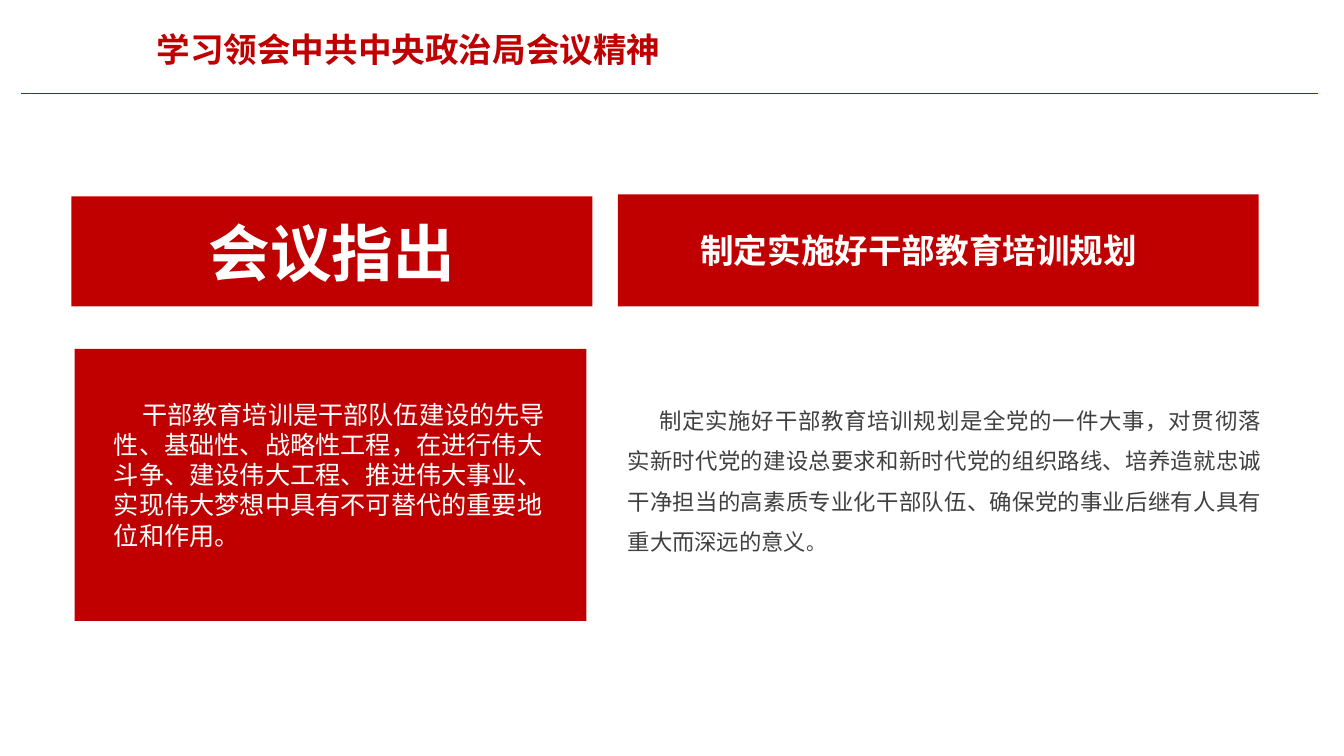
from pptx import Presentation, util as u
from pptx.dml.color import RGBColor
from pptx.enum import shapes, text
from pptx.oxml.ns import qn
from lxml import etree

FONT = "Arial"
RED = "C00000"
WHITE = "FFFFFF"
GREY = "404040"


def colour(value):
    return RGBColor.from_string(value)


def place(item, left, top, width, height):
    item.left, item.top = u.Cm(left), u.Cm(top)
    item.width, item.height = u.Cm(width), u.Cm(height)


def write(box, runs, shade, bold=False, align=text.PP_ALIGN.LEFT, wrap=True,
          anchor=text.MSO_ANCHOR.TOP, spacing=None, indent=0):
    frame = box.text_frame
    frame.word_wrap = wrap
    frame.auto_size = text.MSO_AUTO_SIZE.NONE
    frame.vertical_anchor = anchor
    para = frame.paragraphs[0]
    para.alignment = align
    if spacing:
        para.line_spacing = spacing
    if indent:
        para._p.get_or_add_pPr().set("indent", str(u.Cm(indent)))
    for words, size in runs:
        span = para.add_run()
        span.text = words
        span.font.name = FONT
        span.font.size = u.Pt(size)
        span.font.bold = bold
        span.font.color.rgb = colour(shade)


def add_text(page, area, runs, shade, **style):
    box = page.shapes.add_textbox(*map(u.Cm, area))
    write(box, runs, shade, **style)


def add_panel(page, area):
    panel = page.shapes.add_shape(shapes.MSO_SHAPE.RECTANGLE, *map(u.Cm, area))
    panel.shadow.inherit = False
    panel.fill.solid()
    panel.fill.fore_color.rgb = colour(RED)
    panel.line.fill.background()
    return panel


def add_rule(page, left, right, height):
    rule = page.shapes.add_connector(
        shapes.MSO_CONNECTOR.STRAIGHT,
        u.Cm(left), u.Cm(height), u.Cm(right), u.Cm(height))
    rule.line.color.rgb = colour(RED)
    rule.line.width = u.Pt(0.5)
    etree.SubElement(rule._element.spPr, qn("a:effectLst"))


def main():
    deck = Presentation()
    deck.slide_width, deck.slide_height = u.Cm(33.87), u.Cm(19.05)
    page = deck.slides.add_slide(deck.slide_layouts.get_by_name("Title Only"))

    add_rule(page, 0.53, 33.22, 2.34)
    title = page.shapes.title
    place(title, 3.56, 0.61, 13.34, 1.27)
    write(title, [("学习领会中共中央政治局会议精神", 24)], RED, bold=True,
          align=text.PP_ALIGN.RIGHT, wrap=False)

    banner = add_panel(page, (1.8, 4.95, 13.13, 2.77))
    write(banner, [("会议指出", 44)], WHITE, bold=True,
          align=text.PP_ALIGN.CENTER, wrap=False, anchor=text.MSO_ANCHOR.MIDDLE)

    add_panel(page, (1.88, 8.79, 12.9, 6.86))
    add_text(page, (2.62, 9.93, 11.51, 4.11),
             [("干部教育培训是干部队伍建设的先导性、基础性、战略性工程，"
               "在进行伟大斗争、建设伟大工程、推进伟大事业、"
               "实现伟大梦想中具有不可替代的重要地位和作用。", 18)],
             WHITE, indent=0.71)

    add_panel(page, (15.57, 4.9, 16.15, 2.82))
    add_text(page, (17.4, 5.66, 11.63, 1.27),
             [("制定实施好干部教育培训规划", 24)], WHITE, bold=True, wrap=False)
    add_text(page, (15.57, 9.8, 16.48, 4.24),
             [("制定实施好干部教育培训规划是全党的一件大事，"
               "对贯彻落实新时代党的建设总要求和新时代党的组织路线、"
               "培养造就忠诚干净担当的高素质专业化干部队伍、"
               "确保党的事业后继有人具有重大而深远的意义", 16), ("。", 14)],
             GREY, align=text.PP_ALIGN.JUSTIFY, spacing=1.5, indent=0.79)

    deck.save("out.pptx")


if __name__ == "__main__":
    main()
